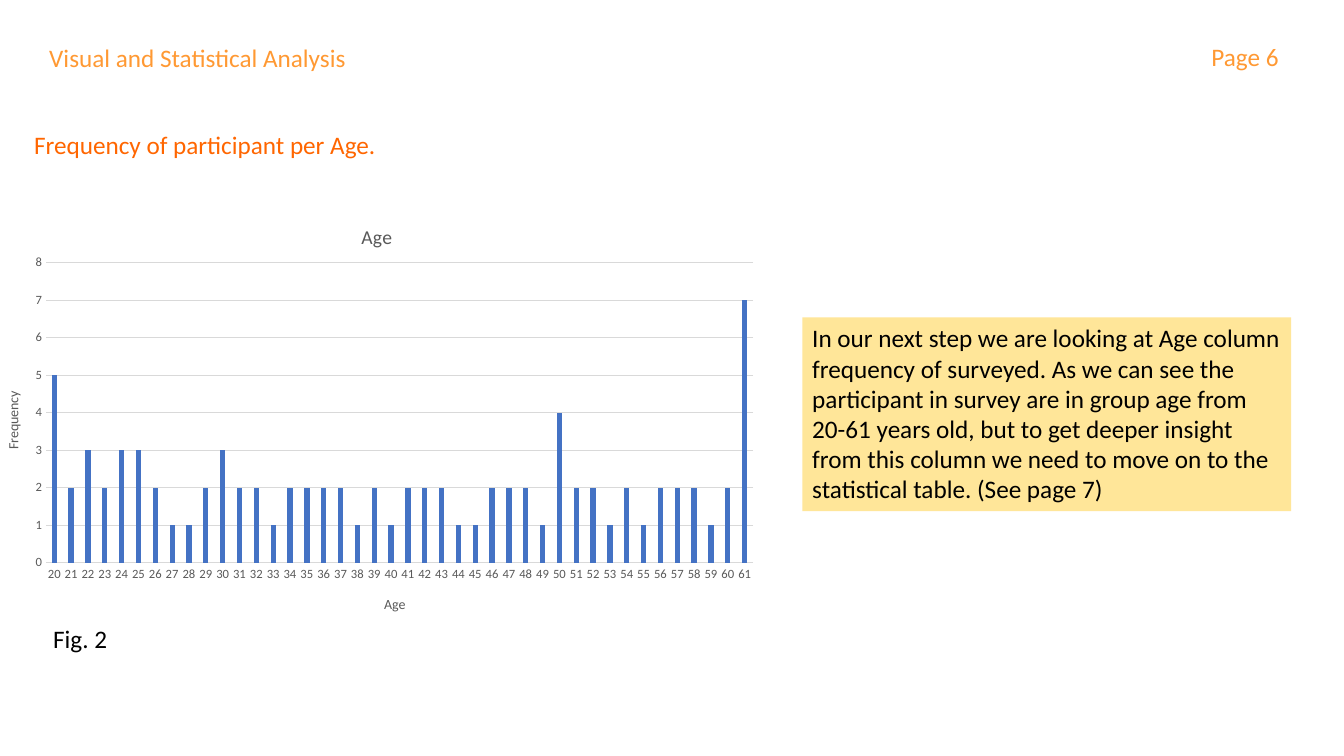
from pptx import Presentation
from pptx.chart.data import CategoryChartData as Data
from pptx.dml.color import RGBColor as RGB
from pptx.enum.chart import XL_CHART_TYPE as Kind, XL_TICK_MARK as Tick
from pptx.enum.shapes import MSO_SHAPE as Form
from pptx.enum.text import MSO_ANCHOR as Anchor, PP_ALIGN as Align
from pptx.oxml import parse_xml
from pptx.oxml.ns import nsdecls
from pptx.util import Cm, Pt

# Content
HEAD = "Visual and Statistical Analysis"
NOTE = ("In our next step we are looking at Age column frequency of surveyed. "
        "As we can see the participant in survey are in group age from 20-61 "
        "years old, but to get deeper insight from this column we need to move "
        "on to the statistical table. (See page 7)")
AGES = range(20, 62)
COUNTS = [5, 2, 3, 2, 3, 3, 2, 1, 1, 2, 3, 2, 2, 1, 2, 2, 2, 2, 1, 2, 1,
          2, 2, 2, 1, 1, 2, 2, 2, 1, 4, 2, 2, 1, 2, 1, 2, 2, 2, 1, 2, 7]

# Format
FONT = "Calibri"
HUES = {"head": "FF9933", "topic": "FF6600", "ink": "000000", "note": "FFE699",
        "bar": "4472C4", "grid": "D9D9D9", "label": "595959"}
# Places in cm: left, top, width, height
TEXTS = [
    ("Frequency of participant per Age.", "topic", (0.61, 3.12, 15.65, 1.03)),
    ("Page 6", "head", (30.28, 0.91, 5.21, 1.03)),
    ("Fig. 2", "ink", (1.09, 15.57, 1.96, 1.03)),
]
HEAD_AT = (0.99, 0.94, 22.99, 1.03)
NOTE_AT = (20.22, 8, 12.32, 4.88)
CHART_AT = (-0.56, 4.98, 19.96, 10.95)
FRAME = {"word_wrap": True, "vertical_anchor": Anchor.TOP,
         "margin_left": Cm(0.25), "margin_right": Cm(0.25),
         "margin_top": Cm(0.13), "margin_bottom": Cm(0.13)}


def style(font, size, hue):
    for key, val in {"name": FONT, "size": Pt(size), "bold": False}.items():
        setattr(font, key, val)
    font.color.rgb = RGB.from_string(HUES[hue])


def write(shape, text, hue):
    frame = shape.text_frame
    for key, val in FRAME.items():
        setattr(frame, key, val)
    frame.text = text
    par = frame.paragraphs[0]
    par.alignment, par.line_spacing = Align.LEFT, 1.0
    style(par.runs[0].font, 18, hue)


def layout(**spots):
    tags = "".join(f'<c:{key} val="{val}"/>' for key, val in spots.items())
    return parse_xml(f'<c:layout {nsdecls("c")}><c:manualLayout>{tags}'
                     '</c:manualLayout></c:layout>')


def name(owner, text, size, x, y):
    """Give a chart or an axis a title at a share of the chart area."""
    title = owner.chart_title if hasattr(owner, "plots") else owner.axis_title
    title.text_frame.text = text
    style(title.text_frame.paragraphs[0].runs[0].font, size, "label")
    root = title._element
    for old in root.findall(root.tx.tag.replace("}tx", "}layout")):
        root.remove(old)
    root.tx.addnext(layout(xMode="edge", yMode="edge", x=x, y=y))


deck = Presentation()
deck.slide_width, deck.slide_height = Cm(33.87), Cm(19.05)
slide = deck.slides.add_slide(deck.slide_layouts[5])
shapes = slide.shapes

# Heading and labels
head = shapes.title
head.left, head.top, head.width, head.height = map(Cm, HEAD_AT)
write(head, HEAD, "head")
for text, hue, spot in TEXTS:
    write(shapes.add_textbox(*map(Cm, spot)), text, hue)

# Comment box
note = shapes.add_shape(Form.RECTANGLE, *map(Cm, NOTE_AT))
note.shadow.inherit = False
note.fill.solid()
note.fill.fore_color.rgb = RGB.from_string(HUES["note"])
note.line.fill.background()
write(note, NOTE, "ink")

# Age chart
data = Data()
data.categories = [str(age) for age in AGES]
data.add_series("Series 1", COUNTS)
chart = shapes.add_chart(Kind.COLUMN_CLUSTERED, *map(Cm, CHART_AT), data).chart
chart.has_legend = False
style(chart.font, 10, "ink")
plot = chart.plots[0]
for key, val in {"gap_width": 219, "overlap": -27,
                 "vary_by_categories": False}.items():
    setattr(plot, key, val)
bars = plot.series[0].format.fill
bars.solid()
bars.fore_color.rgb = RGB.from_string(HUES["bar"])

# Axes
cat, val = chart.category_axis, chart.value_axis
for axis in (cat, val):
    axis.major_tick_mark = axis.minor_tick_mark = Tick.NONE
    style(axis.tick_labels.font, 9, "label")
val.minimum_scale, val.maximum_scale, val.major_unit = 0, 8, 1
val.format.line.fill.background()
for line in (cat.format.line, val.major_gridlines.format.line):
    line.width = Pt(0.75)
    line.color.rgb = RGB.from_string(HUES["grid"])

# Titles and plot area
name(chart, "Age", 14, 0.48, 0.05)
name(cat, "Age", 10, 0.51, 0.91)
name(val, "Frequency", 10, 0.03, 0.44)
area = chart._chartSpace.chart.plotArea
for old in area.xpath("c:layout"):
    area.remove(old)
area.insert(0, layout(layoutTarget="inner", xMode="edge", yMode="edge",
                      x=0.086, y=0.15, w=0.893, h=0.69))

deck.save("out.pptx")
